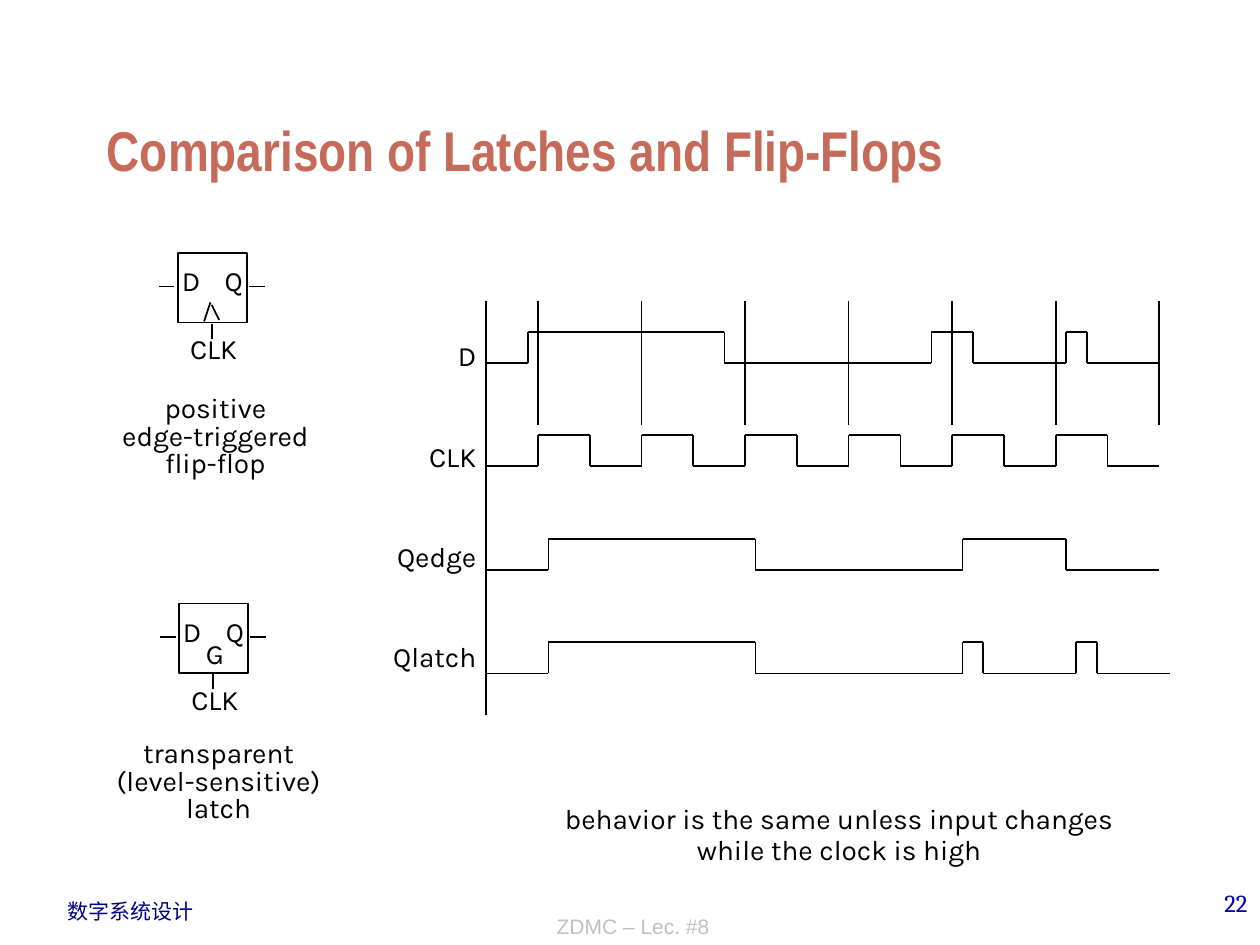
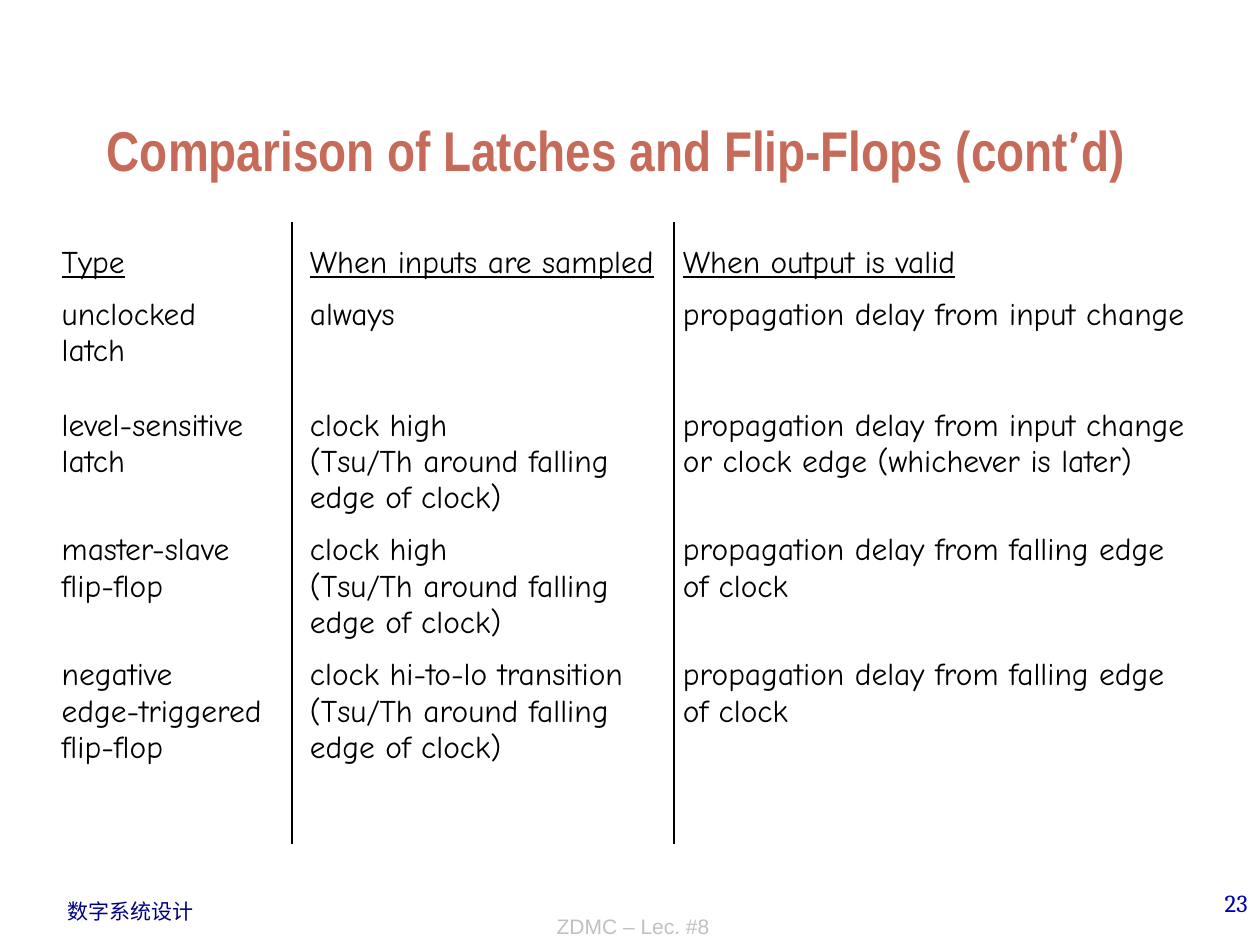
"""Build two slides that compare latches and flip-flops."""
import itertools

import lxml.etree
import pptx
import pptx.dml.color
import pptx.enum.shapes
import pptx.enum.text
import pptx.oxml.ns
import pptx.util

COLORS = {"ink": "000000", "paper": "FFFFFF", "title": "C66B5A",
          "course": "000082", "number": "0000B6", "lecture": "C0C0C0"}
STYLES = {
    "title": {"name": "Arial Narrow", "size": 32, "bold": True, "color": "title"},
    "course": {"name": "Arial", "size": 12, "color": "course"},
    "number": {"name": "Cambria", "size": 14, "color": "number"},
    "lecture": {"name": "Arial", "size": 12, "color": "lecture"},
    "label": {"name": "Karla", "size": 16, "color": "ink"},
    "entry": {"name": "Comic Neue", "size": 18, "color": "ink"},
}
ALIGN = pptx.enum.text.PP_ALIGN
ANCHOR = pptx.enum.text.MSO_ANCHOR

COLUMNS, ROWS = 100, 75
CELL = pptx.util.Inches(0.1)
WIDE_INSETS = (1, 0.5)
TIGHT_INSETS = (0.2, 0.3)

AXIS_LEFT, FIRST_LOW = 38.6, 28.8
TICK = (92 - AXIS_LEFT) / 65
PERIOD, PULSE_HEIGHT = 10, 3
SIGNALS = {
    "D": ([4, 23, 43, 47, 56, 58], 65),
    "CLK": (list(range(5, 65, 5)), 65),
    "Qedge": ([6, 26, 46, 56], 65),
    "Qlatch": ([6, 26, 46, 48, 57, 59], 66),
}

HEADINGS = ("Type", "When inputs are sampled", "When output is valid")
FALLING_SETUP = "(Tsu/Th around falling\nedge of clock)"
FALLING_DELAY = "propagation delay from falling edge\nof clock"
INPUT_DELAY = "propagation delay from input change"
TYPES = [
    (8.9, "unclocked\nlatch", "always", INPUT_DELAY),
    (21.7, "level-sensitive\nlatch", "clock high\n" + FALLING_SETUP,
     INPUT_DELAY + "\nor clock edge (whichever is later)"),
    (8.9, "master-slave\nflip-flop", "clock high\n" + FALLING_SETUP, FALLING_DELAY),
    (8.9, "negative\nedge-triggered\nflip-flop",
     "clock hi-to-lo transition\n" + FALLING_SETUP, FALLING_DELAY),
]


def cells(*counts):
    """Turn counts of grid cells into lengths."""
    return [round(count * CELL) for count in counts]


def rgb(name):
    """Look up a named colour."""
    return pptx.dml.color.RGBColor.from_string(COLORS[name])


def add_span(para, text, style, **changes):
    """Add text in one style, with a line break at each newline."""
    formats = {**STYLES[style], **changes}
    for index, line in enumerate(text.split("\n")):
        if index:
            para.add_line_break()
        span = para.add_run()
        span.text = line
        for key, value in formats.items():
            if key == "color":
                span.font.color.rgb = rgb(value)
            else:
                setattr(span.font, key, pptx.util.Pt(value) if key == "size" else value)


def add_tabs(para, stops):
    """Give a paragraph left tab stops, counted in grid cells."""
    tag = pptx.oxml.ns.qn
    tab_list = lxml.etree.SubElement(para._p.get_or_add_pPr(), tag("a:tabLst"))
    for position in cells(*stops):
        lxml.etree.SubElement(tab_list, tag("a:tab"), pos=str(position), algn="l")


def add_text(page, at, paragraphs, style, align=ALIGN.LEFT, leading=None, gaps=(),
             tabs=(), insets=TIGHT_INSETS, anchor=ANCHOR.TOP, wrap=False):
    """Add a text box; a paragraph is a string or a list of (text, changes)."""
    frame = page.shapes.add_textbox(*cells(*at)).text_frame
    across, down = cells(*insets)
    settings = {"margin_left": across, "margin_right": across, "margin_top": down,
                "margin_bottom": down, "word_wrap": wrap, "vertical_anchor": anchor}
    for key, value in settings.items():
        setattr(frame, key, value)
    for index, content in enumerate(paragraphs):
        para = frame.add_paragraph() if index else frame.paragraphs[0]
        if tabs:
            add_tabs(para, tabs)
        para.alignment = align
        if leading:
            para.line_spacing = pptx.util.Pt(leading)
        if index and gaps:
            para.space_before = pptx.util.Pt(gaps[index - 1])
        spans = [(content, {})] if isinstance(content, str) else content
        for text, changes in spans:
            add_span(para, text, style, **changes)


def add_line(page, *ends):
    """Draw a thin black line between two grid points."""
    line = page.shapes.add_connector(
        pptx.enum.shapes.MSO_CONNECTOR.STRAIGHT, *cells(*ends))
    line.line.color.rgb = rgb("ink")
    line.line.width = pptx.util.Pt(1)
    lxml.etree.SubElement(line._element.spPr, pptx.oxml.ns.qn("a:effectLst"))


def add_page(deck, number, title):
    """Add a blank page with the shared title and footers."""
    page = deck.slides.add_slide(deck.slide_layouts[6])
    add_text(page, (4.4, 70.8, 12, 3), ["数字系统设计"], "course", insets=WIDE_INSETS)
    add_text(page, (79.2, 70, 20.8, 5), [str(number)], "number", ALIGN.RIGHT,
             insets=WIDE_INSETS, wrap=True)
    add_text(page, (25.9, 69.9, 48.7, 5.1), ["ZDMC – Lec. #8"], "lecture",
             ALIGN.CENTER, insets=WIDE_INSETS, anchor=ANCHOR.BOTTOM, wrap=True)
    add_text(page, (7.5, 2.5, 85, 12.5), [title], "title",
             insets=WIDE_INSETS, anchor=ANCHOR.BOTTOM, wrap=True)
    return page


def add_symbol(page, left, top):
    """Draw a storage element with D, Q and clock pins."""
    box = page.shapes.add_shape(pptx.enum.shapes.MSO_SHAPE.RECTANGLE,
                                *cells(left, top, 5.5, 5.5))
    box.shadow.inherit = False
    box.fill.solid()
    box.fill.fore_color.rgb = rgb("paper")
    box.line.color.rgb = rgb("ink")
    box.line.width = pptx.util.Pt(1)
    for x1, y1, x2, y2 in [(-1.5, 2.65, -0.25, 2.65), (5.65, 2.65, 6.9, 2.65),
                           (2.7, 5.6, 2.7, 6.8)]:
        add_line(page, left + x1, top + y1, left + x2, top + y2)
    add_text(page, (left - 0.25, top + 1.3, 6, 3.3), ["D\tQ"], "label",
             ALIGN.CENTER, 13.8, tabs=(3.4, 9.9))
    add_text(page, (left - 1.4, top + 6.7, 8.5, 3.6), ["CLK"], "label",
             ALIGN.CENTER, 13.8)


def add_wave(page, low, toggles, end):
    """Draw a signal that starts low and toggles at the given ticks."""
    levels = itertools.cycle([low, low - PULSE_HEIGHT * TICK])
    level, start = next(levels), AXIS_LEFT
    for tick in toggles:
        x = AXIS_LEFT + tick * TICK
        following = next(levels)
        add_line(page, start, level, x, level)
        add_line(page, x, level, x, following)
        start, level = x, following
    add_line(page, start, level, AXIS_LEFT + end * TICK, level)


def add_timing(page):
    """Draw the axis, the rising-edge marks and all signals."""
    top, bottom = FIRST_LOW - 6 * TICK, FIRST_LOW + 6 * TICK
    add_line(page, AXIS_LEFT, FIRST_LOW + 34 * TICK, AXIS_LEFT, top)
    for tick in range(5, 66, PERIOD):
        x = AXIS_LEFT + tick * TICK
        add_line(page, x, bottom, x, top)
    for row, (toggles, end) in enumerate(SIGNALS.values()):
        add_wave(page, FIRST_LOW + row * PERIOD * TICK, toggles, end)
    add_text(page, (28.1, 25.3, 9.9, 29.2), SIGNALS, "label", ALIGN.RIGHT,
             28.6, gaps=[28.6] * 3)


def add_types(page):
    """Set the tabbed comparison with its two column rules."""
    heading = [(HEADINGS[0], {"underline": True})]
    for text in HEADINGS[1:]:
        heading += [("\t", {}), (text, {"underline": True})]
    entries = []
    for _, *columns in TYPES:
        lines = itertools.zip_longest(*(text.split("\n") for text in columns), fillvalue="")
        entries.append("\n".join("\t".join(line).rstrip("\t") for line in lines))
    add_text(page, (4.7, 19, 91.6, 48), [heading] + entries, "entry", leading=20.8,
             gaps=[gap for gap, *_ in TYPES], tabs=(19.7, 49.3))
    for x in (23.2, 53.5):
        add_line(page, x, 17.6, x, 67)


def main():
    """Build and save the deck."""
    deck = pptx.Presentation()
    deck.slide_width, deck.slide_height = cells(COLUMNS, ROWS)
    title = "Comparison of Latches and Flip-Flops"

    page = add_page(deck, 22, title)
    add_symbol(page, 14.1, 20.1)
    add_line(page, 16.2, 25.5, 16.7, 24)
    add_line(page, 16.8, 24.2, 17.4, 25.4)
    add_symbol(page, 14.2, 47.9)
    add_text(page, (14.3, 51, 5.5, 3.3), ["G"], "label", ALIGN.CENTER, 13.8)
    add_text(page, (7.9, 31.2, 18.4, 8.2), ["positive\nedge-triggered\nflip-flop"],
             "label", ALIGN.CENTER, 15.7)
    add_text(page, (7.7, 58.6, 19.3, 8.2), ["transparent\n(level-sensitive)\nlatch"],
             "label", ALIGN.CENTER, 15.7)
    add_timing(page)
    add_text(page, (38.6, 63.5, 56, 6.3),
             ["behavior is the same unless input changes", "while the clock is high"],
             "label", ALIGN.CENTER, 17.7)

    page = add_page(deck, 23, [(title + " (cont", {}), ("’", {"name": "Comic Neue"}),
                               ("d)", {})])
    add_types(page)
    deck.save("out.pptx")


if __name__ == "__main__":
    main()
